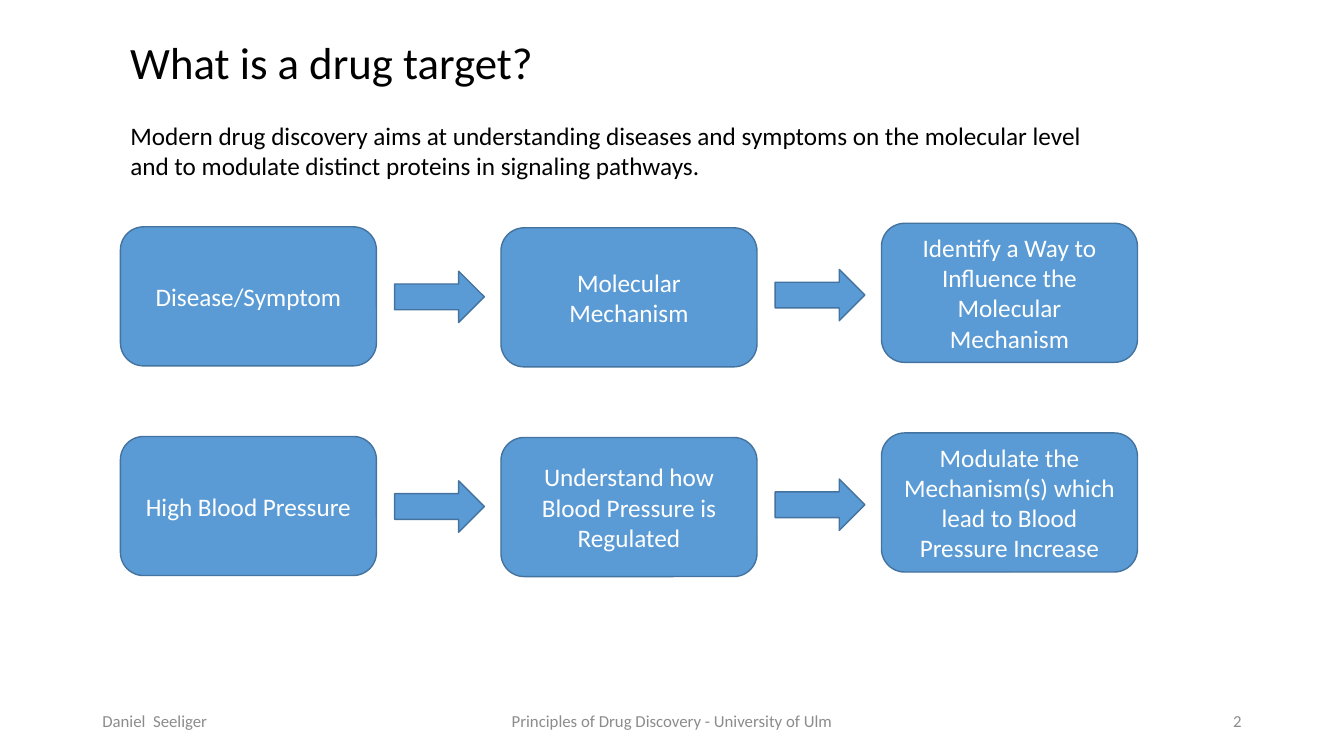
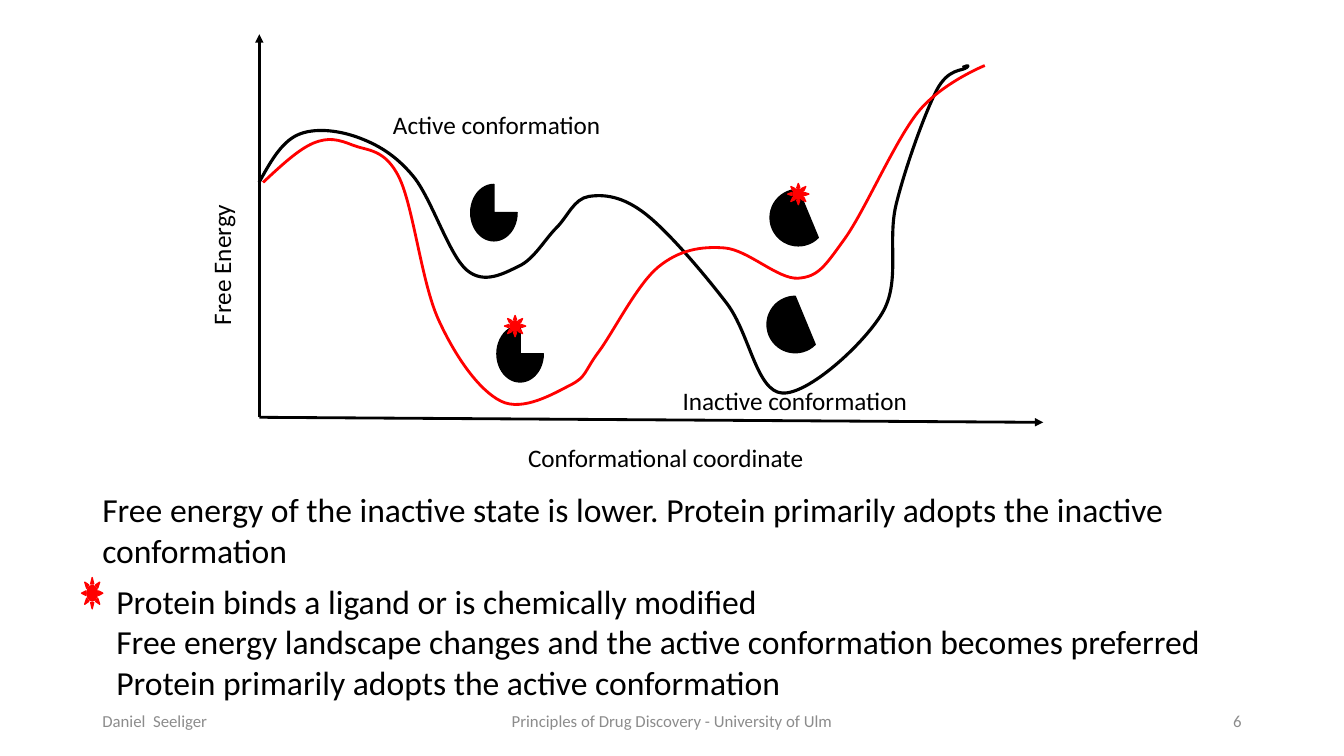
"""Builds two slides on drug targets and protein conformations."""
from lxml import etree
from pptx import Presentation
from pptx.dml.color import RGBColor
from pptx.enum.shapes import MSO_CONNECTOR, MSO_SHAPE
from pptx.enum.text import MSO_ANCHOR, PP_ALIGN
from pptx.oxml.ns import qn
from pptx.util import Inches, Pt

BLACK = RGBColor(0x00, 0x00, 0x00)
WHITE = RGBColor(0xFF, 0xFF, 0xFF)
GRAY = RGBColor(0x8C, 0x8C, 0x8C)
RED = RGBColor(0xFF, 0x00, 0x00)
BLUE = RGBColor(0x5B, 0x9B, 0xD5)
DARK_BLUE = RGBColor(0x43, 0x73, 0x9E)

LEFT, CENTER, RIGHT = PP_ALIGN.LEFT, PP_ALIGN.CENTER, PP_ALIGN.RIGHT
TOP, MIDDLE = MSO_ANCHOR.TOP, MSO_ANCHOR.MIDDLE
ROUNDED, ARROW = MSO_SHAPE.ROUNDED_RECTANGLE, MSO_SHAPE.RIGHT_ARROW
PIE, CHORD, SUN = MSO_SHAPE.PIE, MSO_SHAPE.CHORD, MSO_SHAPE.SUN
STRAIGHT = MSO_CONNECTOR.STRAIGHT

FONT = "Calibri"
CELL = Inches(0.1)
SLIDE_COLUMNS, SLIDE_ROWS = 133.33, 75

STEP_LEFT, STEP_PITCH = 11.95, 37.75
STEP_WIDTH, STEP_HEIGHT = 25.4, 13.8
STEP_DROPS = [0, 0.1, -0.35]
ARROW_OFFSET, ARROW_WIDTH, ARROW_HEIGHT = 27.2, 8.9, 5.1
STEP_ROWS = [
    (22.5, ["Disease/Symptom", "Molecular Mechanism",
            "Identify a Way to Influence the Molecular Mechanism"]),
    (43.3, ["High Blood Pressure", "Understand how Blood Pressure is Regulated",
            "Modulate the Mechanism(s) which lead to Blood Pressure Increase"]),
]

UNBOUND_ENERGY = [
    (25.7, 18.1), (29.5, 13.4), (35.4, 13.6), (41, 17.5), (46.3, 26.8), (51.5, 26.4),
    (55.2, 22.6), (58.4, 19.5), (64, 21.2), (72.1, 30.1), (77.6, 39), (87.5, 31.1),
    (88.9, 20.3), (92.9, 9), (95.9, 6.7), (95.5, 6.7)]
BOUND_ENERGY = [
    (26.1, 18.1), (31.1, 14.2), (35, 14.4), (39.6, 17.6), (43.5, 31.7), (49.7, 39.8),
    (56.6, 38.2), (59.4, 34.9), (65.3, 26.5), (71.9, 24.6), (79.2, 27.6), (83.8, 23.7),
    (91.1, 11.1), (97.7, 6.5)]


def cells(*counts):
    """Turn counts of grid cells into slide lengths."""
    return [round(count * CELL) for count in counts]


def write(frame, text, size=18, color=BLACK, align=LEFT, anchor=TOP, wrap=True):
    """Fill a text frame with one paragraph per line of text."""
    frame.word_wrap = wrap
    frame.vertical_anchor = anchor
    for index, line in enumerate(text.split("\n")):
        paragraph = frame.add_paragraph() if index else frame.paragraphs[0]
        paragraph.alignment = align
        run = paragraph.add_run()
        run.text = line
        run.font.name, run.font.size = FONT, Pt(size)
        run.font.color.rgb = color


def add_text(slide, place, text, rotation=0, **text_format):
    """Add a text box at a place given in cells."""
    box = slide.shapes.add_textbox(*cells(*place))
    box.rotation = rotation
    write(box.text_frame, text, **text_format)


def add_shape(slide, kind, place, fill, outline):
    """Add a filled and outlined preset shape."""
    shape = slide.shapes.add_shape(kind, *cells(*place))
    shape.shadow.inherit = False
    shape.fill.solid()
    shape.fill.fore_color.rgb = fill
    shape.line.color.rgb = outline
    shape.line.width = Pt(1)
    return shape


def add_axis(slide, start, end):
    """Add a black axis line with an arrowhead at its end."""
    axis = slide.shapes.add_connector(STRAIGHT, *cells(*start, *end))
    axis.line.color.rgb = BLACK
    axis.line.width = Pt(2)
    properties = axis.element.spPr
    etree.SubElement(properties.find(qn("a:ln")), qn("a:tailEnd"), type="triangle")
    etree.SubElement(properties, qn("a:effectLst"))


def find_controls(knots):
    """Return both control values and the end value of each segment along one axis."""
    inner = [(after - before) / 6 for before, after in zip(knots, knots[2:])]
    tangents = [(knots[1] - inner[0] - knots[0]) / 2, *inner, 0]
    controls = []
    for index in range(len(knots) - 1):
        start, end = knots[index:index + 2]
        controls += [start + tangents[index], end - tangents[index + 1], end]
    return controls


def bend_segments(shape):
    """Merge every three straight segments of an outline into one cubic curve."""
    lines = list(shape.element.iter(qn("a:lnTo")))
    for index in range(0, len(lines), 3):
        first, *others = lines[index:index + 3]
        first.tag = qn("a:cubicBezTo")
        for line in others:
            first.append(line[0])
            line.getparent().remove(line)


def add_curve(slide, knots, color, width):
    """Draw an open smooth curve through the knots."""
    columns, rows = (find_controls(values) for values in zip(*knots))
    builder = slide.shapes.build_freeform(*cells(*knots[0]))
    builder.add_line_segments([cells(*point) for point in zip(columns, rows)], close=False)
    curve = builder.convert_to_shape()
    bend_segments(curve)
    curve.shadow.inherit = False
    curve.fill.background()
    curve.line.color.rgb = color
    curve.line.width = Pt(width)


def add_slide(presentation, number):
    """Add a blank slide with the shared footer."""
    slide = presentation.slides.add_slide(presentation.slide_layouts[6])
    footer = [(9.17, 30, "Daniel  Seeliger", LEFT),
              (44.17, 45, "Principles of Drug Discovery - University of Ulm", CENTER),
              (94.17, 30, str(number), RIGHT)]
    for left, width, text, align in footer:
        add_text(slide, (left, 69.5, width, 4), text,
                 size=12, color=GRAY, align=align, anchor=MIDDLE)
    return slide


def add_process(slide, top, steps):
    """Add a row of boxes with an arrow between neighbours."""
    arrow_inset = (STEP_HEIGHT - ARROW_HEIGHT) / 2
    for index, (text, drop) in enumerate(zip(steps, STEP_DROPS)):
        left = STEP_LEFT + index * STEP_PITCH
        if index:
            arrow_left = left - STEP_PITCH + ARROW_OFFSET
            arrow_top = top + arrow_inset + (STEP_DROPS[index - 1] + drop) / 2
            add_shape(slide, ARROW, (arrow_left, arrow_top, ARROW_WIDTH, ARROW_HEIGHT),
                      BLUE, DARK_BLUE)
        box = add_shape(slide, ROUNDED, (left, top + drop, STEP_WIDTH, STEP_HEIGHT),
                        BLUE, DARK_BLUE)
        write(box.text_frame, text, color=WHITE, align=CENTER, anchor=MIDDLE)


def build_target_slide(presentation):
    """Explain what a drug target is."""
    slide = add_slide(presentation, 2)
    add_text(slide, (11.94, 3, 42.4, 6.4), "What is a drug target?", size=32, wrap=False)
    add_text(slide, (11.94, 11.45, 96.5, 7.1),
             "Modern drug discovery aims at understanding diseases and symptoms on the "
             "molecular level and to modulate distinct proteins in signaling pathways.")
    for top, steps in STEP_ROWS:
        add_process(slide, top, steps)


def build_energy_slide(presentation):
    """Show the energy landscape with and without a ligand."""
    slide = add_slide(presentation, 6)
    origin = (25.73, 41.4)
    add_curve(slide, UNBOUND_ENERGY, BLACK, 2.25)
    add_axis(slide, origin, (25.73, 3.4))
    add_axis(slide, origin, (103.5, 41.9))
    add_curve(slide, BOUND_ENERGY, RED, 2)

    for left, top, width, text, rotation in [
            (51.4, 43.4, 29.7, "Conformational coordinate", 0),
            (14.9, 24.2, 14.1, "Free Energy", 270),
            (38, 10.4, 22.8, "Active conformation", 0),
            (66.74, 37.7, 24.6, "Inactive conformation", 0)]:
        add_text(slide, (left, top, width, 4), text, rotation=rotation, wrap=False)

    for kind, left, top, width in [(PIE, 46.7, 18.3, 4.6), (CHORD, 76.1, 29.4, 5.6),
                                   (PIE, 49.3, 32.3, 4.6), (CHORD, 76.4, 18.8, 5.6)]:
        add_shape(slide, kind, (left, top, width, 5.6), BLACK, BLACK)
    for left, top, height in [(78.15, 18.2, 2.1), (50.05, 31.3, 2.1), (8.1, 57.3, 3.1)]:
        add_shape(slide, SUN, (left, top, 2.1, height), RED, RED)

    add_text(slide, (9.17, 48.05, 116, 9.1),
             "Free energy of the inactive state is lower. Protein primarily adopts "
             "the inactive conformation", size=24)
    add_text(slide, (10.56, 57.15, 111.4, 13.1),
             "Protein binds a ligand or is chemically modified\n"
             "Free energy landscape changes and the active conformation becomes preferred\n"
             "Protein primarily adopts the active conformation", size=24)


def main():
    """Build and save the presentation."""
    presentation = Presentation()
    presentation.slide_width, presentation.slide_height = cells(SLIDE_COLUMNS, SLIDE_ROWS)
    build_target_slide(presentation)
    build_energy_slide(presentation)
    presentation.save("out.pptx")


if __name__ == "__main__":
    main()
